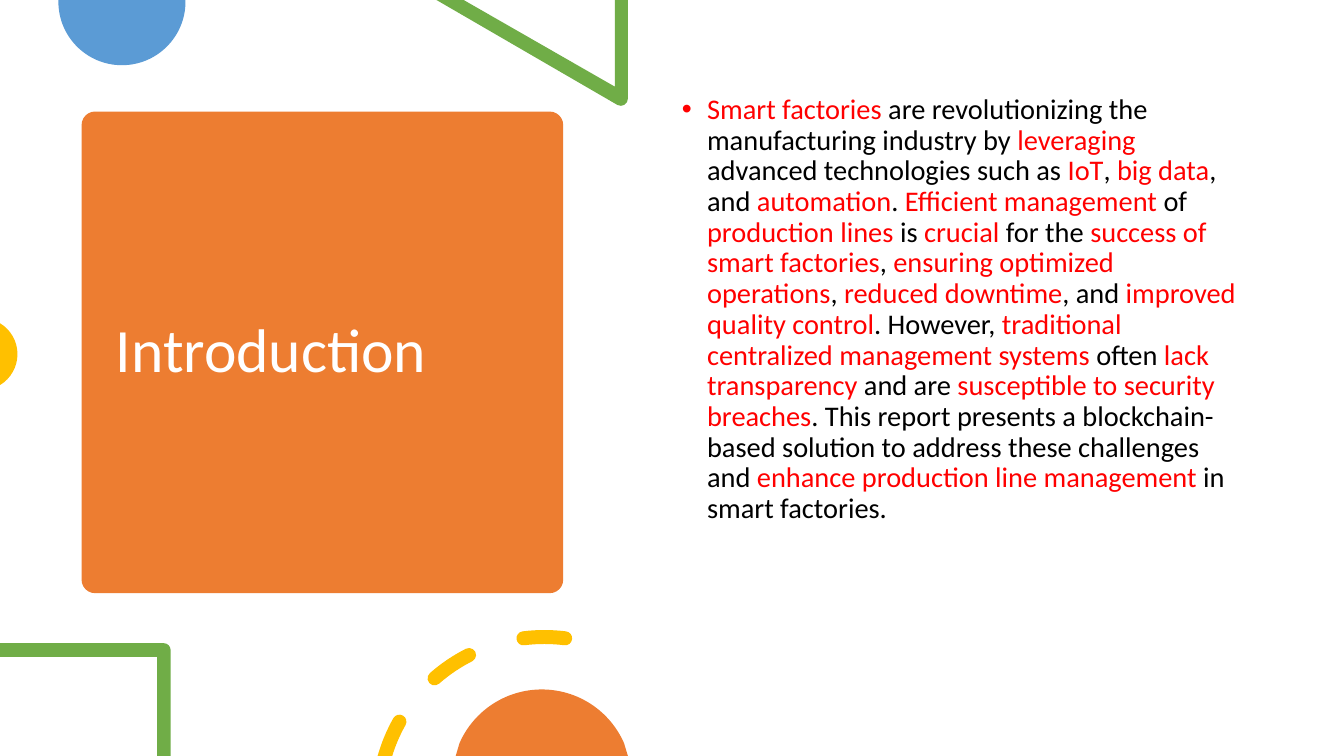
import math
from lxml import etree
from pptx import Presentation
from pptx.dml.color import RGBColor
from pptx.enum.shapes import MSO_SHAPE
from pptx.enum.text import MSO_ANCHOR
from pptx.oxml.ns import qn
from pptx.util import Pt

ROUNDED = MSO_SHAPE.ROUNDED_RECTANGLE
TOP, MIDDLE = MSO_ANCHOR.TOP, MSO_ANCHOR.MIDDLE
W, H = 960, 540
FONT = "Calibri"
COLORS = {"orange": "ED7D31", "blue": "5B9BD5", "green": "70AD47",
          "yellow": "FFC000", "red": "FF0000", "black": "000000",
          "white": "FFFFFF"}
INTRO = (
    "*Smart factories *are revolutionizing the manufacturing industry by "
    "*leveraging* advanced technologies such as *IoT*, *big data*, and "
    "*automation*. *Efficient management *of *production lines *is *crucial* "
    "for the *success of smart factories*, *ensuring optimized operations*, "
    "*reduced downtime*, and *improved quality control*. However, "
    "*traditional centralized management systems *often *lack transparency* "
    "and are *susceptible to security breaches*. This report presents a "
    "blockchain-based solution to address these challenges and "
    "*enhance production line management* in smart factories.")


def rgb(name):
    return RGBColor.from_string(COLORS[name])


def paint(shape, color):
    shape.shadow.inherit = False
    shape.fill.solid()
    shape.fill.fore_color.rgb = rgb(color)
    shape.line.fill.background()


def corners(*points):
    return [[point] for point in points]


def arc(cx, cy, r, start, end):
    def at(angle, slide=0):
        c, n = math.cos(angle), math.sin(angle)
        return cx + r * (c - slide * n), cy + r * (n + slide * c)

    count = math.ceil(abs(end - start) / 90)
    step = math.radians(end - start) / count
    k = 4 / 3 * math.tan(step / 4)
    angles = [math.radians(start) + i * step for i in range(count + 1)]
    return corners(at(angles[0])) + [
        [at(a, k), at(b, -k), at(b)] for a, b in zip(angles, angles[1:])]


def add_outline(s, x, y, contours, color):
    builder, pieces = None, []
    for contour in contours:
        points = [(Pt(x + px), Pt(y + py)) for piece in contour
                  for px, py in piece]
        if builder:
            builder.move_to(*points[0])
        else:
            builder = s.shapes.build_freeform(*points[0], scale=1.0)
        builder.add_line_segments(points[1:], close=True)
        pieces += contour[1:]
    shape = builder.convert_to_shape()
    lines = iter(list(shape._element.iter(qn("a:lnTo"))))
    for piece in pieces:
        group = [next(lines) for _ in piece]
        if len(group) == 3:
            group[0].tag = qn("a:cubicBezTo")
            for line in group[1:]:
                group[0].append(line[0])
                line.getparent().remove(line)
    paint(shape, color)


def add_bullet(p, color, indent):
    pPr = p._p.get_or_add_pPr()
    pPr.set("marL", str(Pt(indent)))
    pPr.set("indent", str(-Pt(indent)))
    clr = etree.SubElement(pPr, qn("a:buClr"))
    etree.SubElement(clr, qn("a:srgbClr")).set("val", COLORS[color])
    etree.SubElement(pPr, qn("a:buFont")).set("typeface", "Arial")
    etree.SubElement(pPr, qn("a:buChar")).set("char", "•")


def add_text(s, text, x, y, w, h, size, color, accent=None, anchor=TOP,
             bullet=None):
    tf = s.shapes.add_textbox(Pt(x), Pt(y), Pt(w), Pt(h)).text_frame
    tf.word_wrap = True
    tf.vertical_anchor = anchor
    p = tf.paragraphs[0]
    if bullet:
        add_bullet(p, bullet, 18)
    p.line_spacing = 0.9
    for i, part in enumerate(text.split("*")):
        if part:
            r = p.add_run()
            r.text = part
            r.font.name = FONT
            r.font.size = Pt(size)
            r.font.color.rgb = rgb(accent if i % 2 else color)


def title_panel(s, x, y, w, h):
    panel = s.shapes.add_shape(ROUNDED, Pt(x), Pt(y), Pt(w), Pt(h))
    panel.adjustments[0] = 0.028
    paint(panel, "orange")
    add_text(s, "Introduction", x + 17.3, y + 8, w - 34, h - 16, 44, "white",
             anchor=MIDDLE)


def top_decor(s, x, y):
    disc = corners((132.5, 0), (41.7, 0)) + arc(87.1, 1.2, 45.4, 180, 0)
    add_outline(s, x, y, [disc], "blue")
    triangle = corners((448.5, 0), (439.2, 0), (439.2, 61.9), (331.2, 0),
                       (311.8, 0))
    add_outline(s, x, y, [triangle + arc(443.5, 70.6, 5, 120, 0)], "green")


def left_decor(s, x, y):
    add_outline(s, x, y, [arc(-13.3, 0, 25.8, -58.6, 58.6)], "yellow")


def ring_dash(cx, cy, r, half, outer_start, inner_start, end):
    head = arc(cx, cy, r, end, end + 1)[0][0]
    dash = (arc(cx, cy, r + half, outer_start, end)
            + arc(*head, half, end, end + 180)[1:]
            + arc(cx, cy, r - half, end, inner_start)[1:])
    if outer_start == inner_start:
        tail = arc(cx, cy, r, outer_start, end)[0][0]
        dash += arc(*tail, half, outer_start + 180, outer_start + 360)[1:]
    return dash


def bottom_decor(s, x, bottom):
    frame = corners((0, -80.6), (0, -70.8), (112.3, -70.8), (112.3, 0),
                    (121.9, 0))
    add_outline(s, x, bottom, [frame + arc(117, -75.7, 4.9, 0, -90)], "green")
    spans = [(195.9, 197.3, 209.4), (228.7, 228.7, 243.1),
             (262.8, 262.8, 277.2)]
    add_outline(s, x, bottom, [ring_dash(388.8, 33.8, 118.8, 5, *span)
                               for span in spans], "yellow")
    dome = (corners((325.5, 0)) + arc(387, 16.7, 64.2, 203.8, 336.2)
            + corners((448.5, 0)))
    add_outline(s, x, bottom, [dome], "orange")


def body_text(s, x, y, w, h):
    add_text(s, INTRO, x, y, w, h, 20.3, "black", accent="red", bullet="red")


def main():
    prs = Presentation()
    prs.slide_width, prs.slide_height = Pt(W), Pt(H)
    s = prs.slides.add_slide(prs.slide_layouts[6])
    title_panel(s, 58.3, 79.7, 344, 344)
    top_decor(s, 0, 0)
    left_decor(s, 0, 253)
    body_text(s, 480, 64.4, 414, 385)
    bottom_decor(s, 0, H)
    prs.save("out.pptx")


if __name__ == "__main__":
    main()
